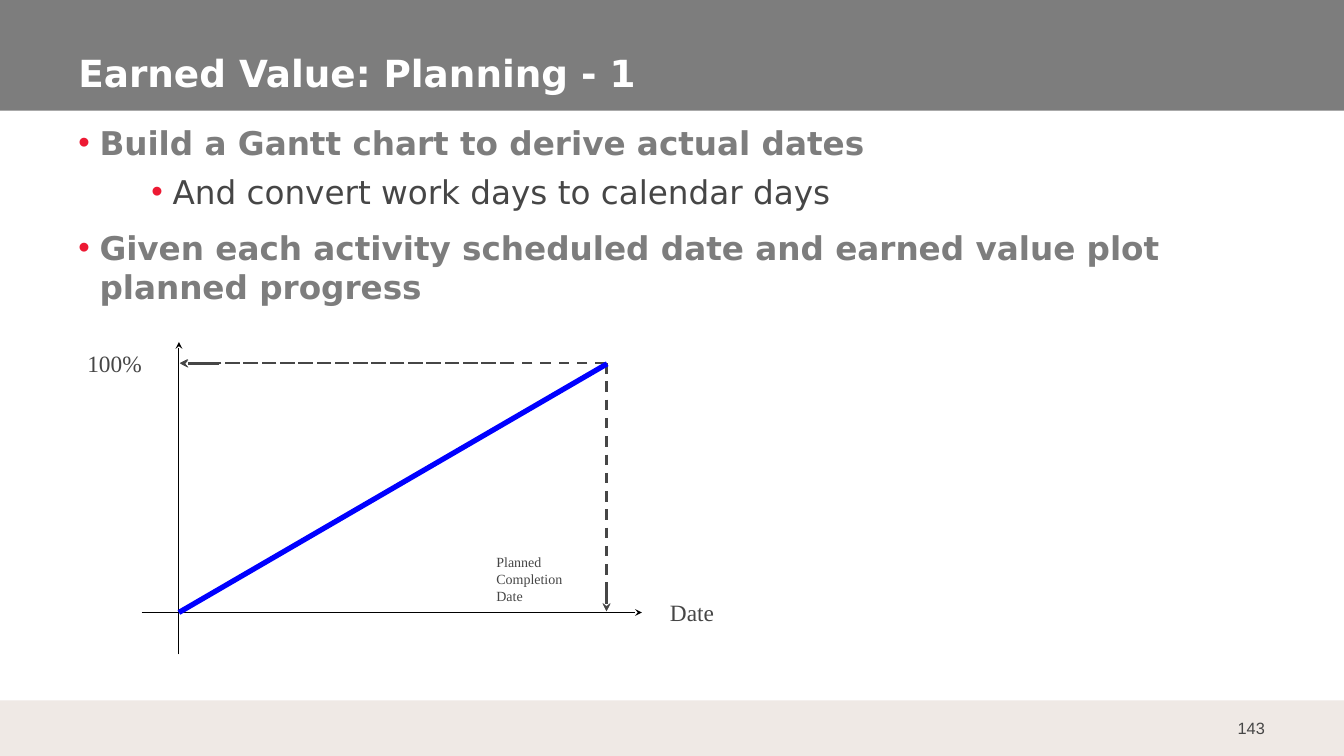
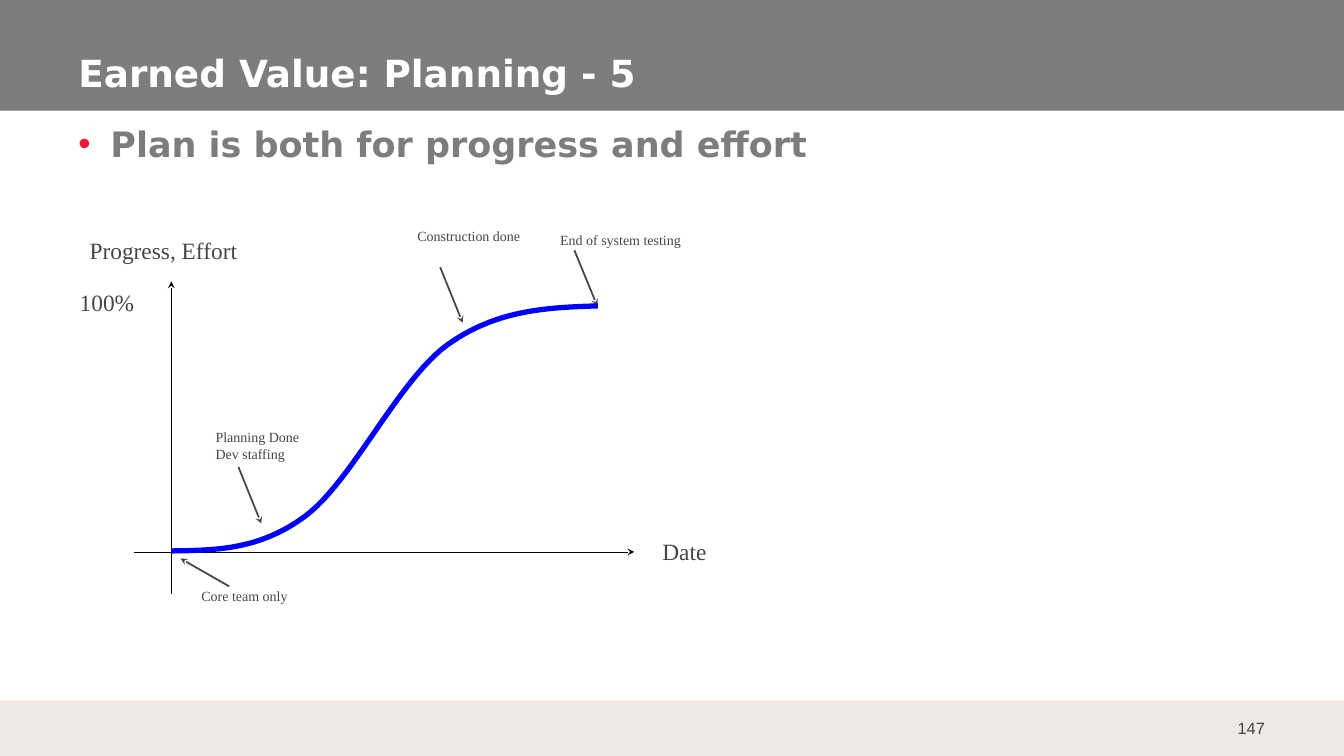
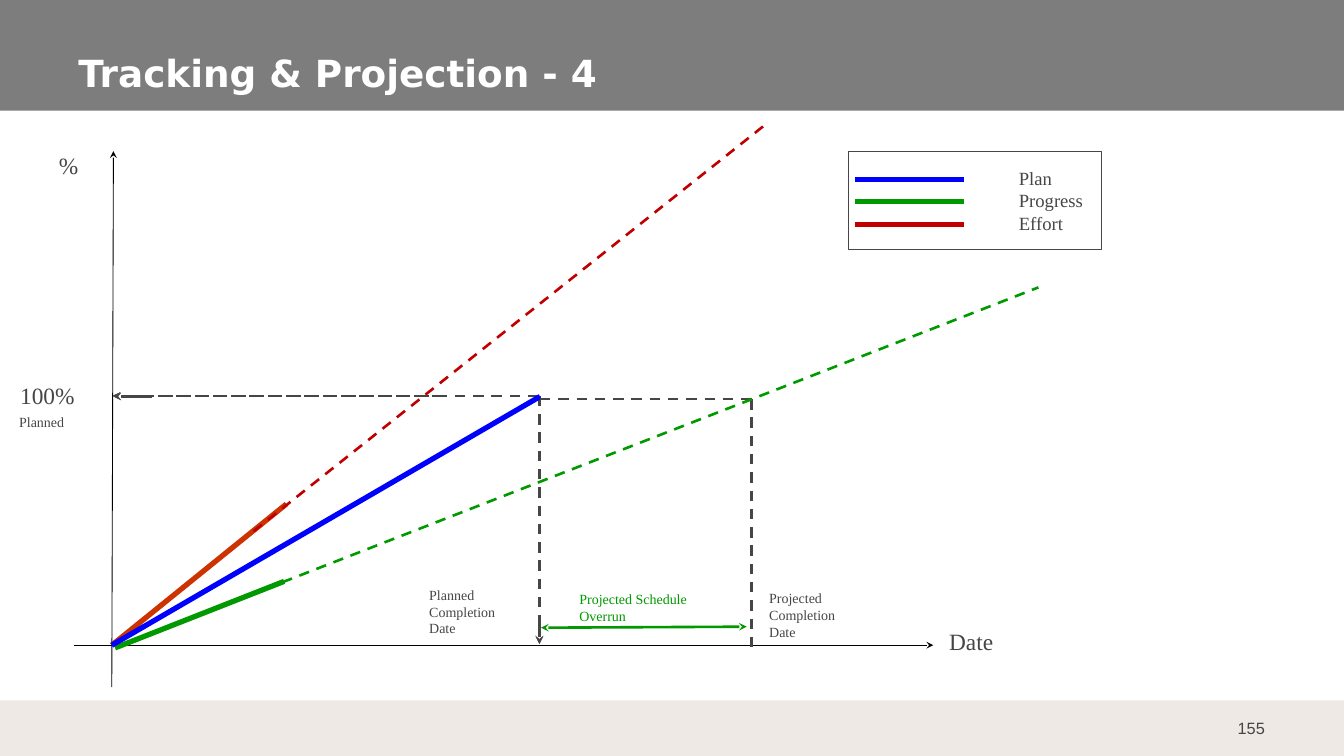
from dataclasses import dataclass, field
from typing import Any, Optional

import lxml.etree
import pptx
import pptx.dml.color
import pptx.enum.dml
import pptx.enum.shapes
import pptx.enum.text
import pptx.oxml.ns
import pptx.util

Cm = pptx.util.Cm
Pt = pptx.util.Pt
qn = pptx.oxml.ns.qn
Anchor = pptx.enum.text.MSO_ANCHOR
Align = pptx.enum.text.PP_ALIGN
RECTANGLE = pptx.enum.shapes.MSO_SHAPE.RECTANGLE
Point = tuple[float, float]
Box = tuple[float, float, float, float]


@dataclass(frozen=True)
class Theme:
    band: str = "7D7D7D"
    footer: str = "EFE9E5"
    white: str = "FFFFFF"
    text: str = "464646"
    bullet: str = "ED1933"
    axis: str = "000000"
    plan: str = "0000FF"
    progress: str = "009900"
    effort: str = "C00000"
    effort_to_date: str = "CC3300"
    heading_font: str = "DejaVu Sans"
    chart_font: str = "Times New Roman"
    number_font: str = "Arial"
    title_size: float = 32
    number_size: float = 14
    axis_size: float = 20
    legend_size: float = 16
    note_size: float = 12
    curve: float = 4.5
    guide: float = 2.25
    pointer: float = 1.5
    thin: float = 0.75


THEME = Theme()
WIDTH, HEIGHT = 40.64, 22.86
PADDING = (0.25, 0.13)
WIDE_PADDING = (0.36, 0.18)


@dataclass(frozen=True)
class TextStyle:
    size: float
    color: str = THEME.text
    font: str = THEME.chart_font
    bold: bool = False


AXIS_TEXT = TextStyle(THEME.axis_size)
NOTE = TextStyle(THEME.note_size)
LEGEND_TEXT = TextStyle(THEME.legend_size)
TITLE = TextStyle(THEME.title_size, THEME.white, THEME.heading_font, True)
PAGE_NUMBER = TextStyle(THEME.number_size, font=THEME.number_font)


@dataclass(frozen=True)
class Stroke:
    color: str
    width: float
    dashed: bool = False
    arrows: tuple[str, ...] = ()


END = ("tailEnd",)
AXIS = Stroke(THEME.axis, THEME.thin, arrows=END)
GUIDE = Stroke(THEME.text, THEME.guide, dashed=True)
GUIDE_ARROW = Stroke(THEME.text, THEME.guide, dashed=True, arrows=END)
GUIDE_TIP = Stroke(THEME.text, THEME.guide, arrows=END)
POINTER = Stroke(THEME.text, THEME.pointer, arrows=END)
PLAN = Stroke(THEME.plan, THEME.curve)


@dataclass(frozen=True)
class Bullet:
    text: str
    size: float = 28
    level: int = 0
    hang: float = 0.64


@dataclass(frozen=True)
class Note:
    lines: tuple[str, ...]
    at: Point
    style: TextStyle = NOTE
    width: float = 6.4


@dataclass(frozen=True)
class Segment:
    start: Point
    end: Point
    stroke: Stroke


def rgb(color: str) -> pptx.dml.color.RGBColor:
    return pptx.dml.color.RGBColor.from_string(color)


def add_run(paragraph: Any, text: str, style: TextStyle) -> None:
    run = paragraph.add_run()
    run.text = text
    run.font.name = style.font
    run.font.size = Pt(style.size)
    run.font.bold = style.bold
    run.font.color.rgb = rgb(style.color)


def set_frame(frame: Any, padding: Point, anchor: Any = Anchor.TOP) -> None:
    frame.word_wrap = True
    frame.auto_size = pptx.enum.text.MSO_AUTO_SIZE.NONE
    frame.vertical_anchor = anchor
    frame.margin_left = frame.margin_right = Cm(padding[0])
    frame.margin_top = frame.margin_bottom = Cm(padding[1])


def write_lines(frame: Any, lines: tuple[str, ...], style: TextStyle,
                align: Any = Align.LEFT) -> None:
    for index, line in enumerate(lines):
        paragraph = frame.add_paragraph() if index else frame.paragraphs[0]
        paragraph.alignment = align
        add_run(paragraph, line, style)


def add_text(slide: Any, box: Box, lines: tuple[str, ...], style: TextStyle,
             padding: Point = PADDING, anchor: Any = Anchor.TOP,
             align: Any = Align.LEFT) -> None:
    frame = slide.shapes.add_textbox(*map(Cm, box)).text_frame
    set_frame(frame, padding, anchor)
    write_lines(frame, lines, style, align)


def add_line(slide: Any, start: Point, end: Point, stroke: Stroke) -> None:
    line = slide.shapes.add_connector(
        pptx.enum.shapes.MSO_CONNECTOR.STRAIGHT, *map(Cm, start + end))
    line.line.color.rgb = rgb(stroke.color)
    line.line.width = Pt(stroke.width)
    if stroke.dashed:
        line.line.dash_style = pptx.enum.dml.MSO_LINE_DASH_STYLE.DASH
    properties = line.element.spPr
    outline = properties.find(qn("a:ln"))
    for arrow in stroke.arrows:
        lxml.etree.SubElement(outline, qn(f"a:{arrow}"), type="stealth")
    lxml.etree.SubElement(properties, qn("a:effectLst"))


def add_bands(slide: Any, layout: Any) -> None:
    """Draw the header and footer bands and hand them to the shared layout."""
    bands = ((0, 3.35, THEME.band), (21.18, 1.68, THEME.footer))
    for top, height, color in bands:
        band = slide.shapes.add_shape(RECTANGLE, *map(Cm, (0, top, WIDTH, height)))
        band.shadow.inherit = False
        band.fill.solid()
        band.fill.fore_color.rgb = rgb(color)
        band.line.fill.background()
        layout.shapes.element.insert(2, band.element)


def new_slide(deck: Any, title: str, number: int) -> Any:
    layout = deck.slide_layouts[5]
    slide = deck.slides.add_slide(layout)
    if len(deck.slides) == 1:
        add_bands(slide, layout)
    heading = slide.shapes.title
    heading.left, heading.top, heading.width, heading.height = map(
        Cm, (2.01, 1.17, 36.09, 1.88))
    set_frame(heading.text_frame, WIDE_PADDING, Anchor.BOTTOM)
    write_lines(heading.text_frame, (title,), TITLE)
    add_text(slide, (36.58, 21.39, 2.03, 1.22), (str(number),), PAGE_NUMBER,
             WIDE_PADDING, Anchor.MIDDLE, Align.RIGHT)
    return slide


def add_bullets(slide: Any, height: float, bullets: tuple[Bullet, ...]) -> None:
    frame = slide.shapes.add_textbox(*map(Cm, (2.01, 3.53, 35.99, height))).text_frame
    set_frame(frame, WIDE_PADDING)
    for index, bullet in enumerate(bullets):
        paragraph = frame.add_paragraph() if index else frame.paragraphs[0]
        paragraph.level = bullet.level
        properties = paragraph._p.get_or_add_pPr()
        properties.set("marL", str(Cm(bullet.hang + 2.21 * bullet.level)))
        properties.set("indent", str(-Cm(bullet.hang)))
        color = lxml.etree.SubElement(properties, qn("a:buClr"))
        lxml.etree.SubElement(color, qn("a:srgbClr"), val=THEME.bullet)
        lxml.etree.SubElement(properties, qn("a:buFont"), typeface="Arial")
        lxml.etree.SubElement(properties, qn("a:buChar"), char="•")
        if index:
            paragraph.space_before = Pt(8.6 if bullet.level else 14.3)
        top_level = bullet.level == 0
        add_run(paragraph, bullet.text, TextStyle(
            bullet.size, THEME.band if top_level else THEME.text,
            THEME.heading_font, top_level))


@dataclass
class Plot:
    """A pair of axes; all positions are measured in cm from its origin."""
    slide: Any
    origin: Point
    right: float = 14.0
    top: float = -8.18
    lean: float = 0.0
    date_offset: Point = field(default=(0.6, -0.57))

    def place(self, point: Point) -> Point:
        return self.origin[0] + point[0], self.origin[1] + point[1]

    def line(self, segment: Segment) -> None:
        add_line(self.slide, self.place(segment.start), self.place(segment.end),
                 segment.stroke)

    def note(self, note: Note) -> None:
        height = 0.26 + len(note.lines) * note.style.size * 0.042
        add_text(self.slide, (*self.place(note.at), note.width, height),
                 note.lines, note.style)

    def draw(self, *parts: Any) -> None:
        for part in parts:
            if isinstance(part, Note):
                self.note(part)
            else:
                self.line(part)

    def axes(self) -> None:
        self.draw(
            Segment((0, 1.27), (self.lean, self.top), AXIS),
            Segment((-1.13, 0), (self.right, 0), AXIS),
            Note(("Date",), (self.right + self.date_offset[0], self.date_offset[1]),
                 AXIS_TEXT, 2.46),
            Note(("100%",), (-3.02, -8.1), AXIS_TEXT, 4.06))

    def planned_completion(self) -> None:
        """Draw the straight plan with guides to 100% and to its end date."""
        self.draw(
            Segment((12.9, -7.54), (0.03, -7.54), GUIDE_ARROW),
            Segment((10.01, -7.54), (0.03, -7.54), GUIDE_ARROW),
            Segment((1.22, -7.52), (0.05, -7.52), GUIDE_TIP),
            Segment((12.93, -7.54), (12.93, -0.05), GUIDE_ARROW),
            Segment((12.93, -0.91), (12.93, -0.03), GUIDE_TIP),
            Note(("Planned", "Completion", "Date"), (9.35, -1.91)),
            Segment((0, 0), (12.95, -7.52), PLAN))

    def curve(self, knots: tuple[Point, ...], stroke: Stroke, steps: int = 24) -> None:
        """Draw joined cubic Bézier curves; each adds three knots to the last."""
        points = [knots[0]]
        for first in range(0, len(knots) - 1, 3):
            a, b, c, d = knots[first:first + 4]
            for step in range(1, steps + 1):
                t = step / steps
                s = 1 - t
                weights = (s ** 3, 3 * s * s * t, 3 * s * t * t, t ** 3)
                points.append(tuple(
                    sum(w * knot[axis] for w, knot in zip(weights, (a, b, c, d)))
                    for axis in (0, 1)))
        start, *rest = [tuple(map(Cm, self.place(point))) for point in points]
        builder = self.slide.shapes.build_freeform(*start)
        builder.add_line_segments(rest, close=False)
        outline = builder.convert_to_shape()
        outline.shadow.inherit = False
        outline.fill.background()
        outline.line.color.rgb = rgb(stroke.color)
        outline.line.width = Pt(stroke.width)


def add_legend(slide: Any) -> None:
    frame_box = slide.shapes.add_shape(RECTANGLE, *map(Cm, (25.65, 4.57, 7.67, 2.97)))
    frame_box.shadow.inherit = False
    frame_box.fill.background()
    frame_box.line.color.rgb = rgb(THEME.text)
    frame_box.line.width = Pt(1)
    entries = {"Plan": THEME.plan, "Progress": THEME.progress, "Effort": THEME.effort}
    set_frame(frame_box.text_frame, PADDING, Anchor.MIDDLE)
    frame_box.text_frame.margin_left = Cm(5.16)
    write_lines(frame_box.text_frame, tuple(entries), LEGEND_TEXT)
    for index, color in enumerate(entries.values()):
        y = 5.42 + 0.68 * index
        add_line(slide, (25.86, y), (29.16, y), Stroke(color, THEME.curve))


def planning_1(deck: Any) -> None:
    slide = new_slide(deck, "Earned Value: Planning - 1", 143)
    add_bullets(slide, 4.04, (
        Bullet("Build a Gantt chart to derive actual dates"),
        Bullet("And convert work days to calendar days", level=1),
        Bullet("Given each activity scheduled date and earned value plot "
               "planned progress")))
    plot = Plot(slide, (5.41, 18.52))
    plot.axes()
    plot.planned_completion()


def planning_5(deck: Any) -> None:
    slide = new_slide(deck, "Earned Value: Planning - 5", 147)
    add_bullets(slide, 1.47, (
        Bullet("Plan is both for progress and effort", size=30, hang=0.97),))
    plot = Plot(slide, (5.18, 16.69))
    plot.axes()
    plot.draw(
        Note(("Progress, Effort",), (-2.72, -9.68), AXIS_TEXT, 7.21),
        Note(("Core team only",), (0.66, 0.94)),
        Segment((1.75, 1.04), (0.28, 0.2), POINTER),
        Note(("Planning Done", "Dev staffing"), (1.09, -3.86)),
        Segment((2.03, -2.57), (2.72, -0.86), POINTER),
        Note(("Construction done",), (7.19, -9.93)),
        Segment((8.13, -8.61), (8.81, -6.93), POINTER),
        Note(("End of system testing",), (11.51, -9.83)),
        Segment((12.19, -9.12), (12.88, -7.44), POINTER))
    plot.curve((
        (0, -0.03), (1.32, -0.05), (2.67, -0.05),
        (4.06, -1.09), (5.46, -2.13), (6.88, -5.21),
        (8.36, -6.27), (9.83, -7.32), (11.35, -7.39), (12.9, -7.44)), PLAN)


def tracking_4(deck: Any) -> None:
    slide = new_slide(deck, "Tracking & Projection - 4", 155)
    plot = Plot(slide, (3.38, 19.51), right=24.84, top=-14.94, lean=0.05,
                date_offset=(0.23, -0.69))
    plot.axes()
    plot.draw(
        Note(("%",), (-1.85, -15.06), AXIS_TEXT, 1.45),
        Note(("Planned",), (-3.05, -7.14), width=4.34),
        Segment((0.1, 0.08), (5.21, -1.93), Stroke(THEME.progress, THEME.curve)),
        Segment((0, 0), (5.28, -4.27), Stroke(THEME.effort_to_date, THEME.curve)))
    plot.planned_completion()
    plot.draw(
        Segment((12.95, -7.44), (19.51, -7.44), GUIDE),
        Segment((19.35, -7.44), (19.35, 0.08), GUIDE),
        Segment((19.2, -0.56), (12.98, -0.53),
                Stroke(THEME.progress, THEME.guide, arrows=("headEnd", "tailEnd"))),
        Note(("Projected Schedule", "Overrun"), (13.89, -1.78),
             TextStyle(THEME.note_size, THEME.progress)),
        Note(("Projected", "Completion", "Date"), (19.63, -1.8)),
        Segment((3.61, -1.3), (28.02, -10.82),
                Stroke(THEME.progress, THEME.guide, dashed=True)),
        Segment((4.29, -3.45), (19.71, -15.7),
                Stroke(THEME.effort, THEME.guide, dashed=True)))
    add_legend(slide)


def main() -> None:
    deck = pptx.Presentation()
    deck.slide_width, deck.slide_height = Cm(WIDTH), Cm(HEIGHT)
    for build in (planning_1, planning_5, tracking_4):
        build(deck)
    deck.save("out.pptx")


if __name__ == "__main__":
    main()
